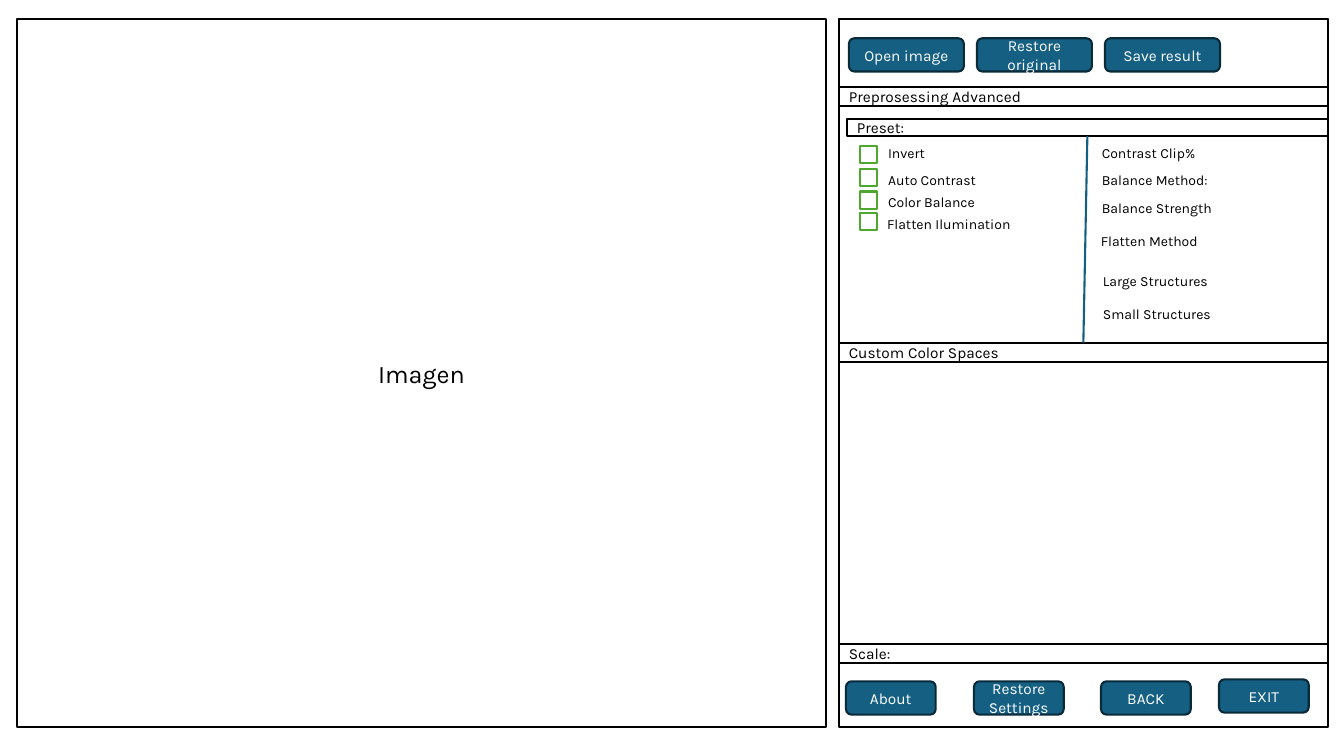
from collections import namedtuple

from pptx import Presentation
from pptx import util as u
from pptx.dml.color import RGBColor
from pptx.enum import shapes, text
from pptx.oxml.ns import qn

PX = 9144  # one hundred px to the inch
FONT = "Karla"
BLACK, WHITE, GREEN = "000000", "FFFFFF", "4EA72E"
BLUE, NAVY = "156082", "092A39"
BAR_HEIGHT = 19

Box = namedtuple("Box", "left top width height")


def px(*lengths):
    return [u.Emu(length * PX) for length in lengths]


def color(hex_value):
    return RGBColor.from_string(hex_value)


def write(shape, words, size, ink, align):
    frame = shape.text_frame
    frame.word_wrap = True
    para = frame.paragraphs[0]
    para.alignment = align
    span = para.add_run()
    span.text = words
    span.font.name = FONT
    span.font.size = u.Pt(size)
    span.font.color.rgb = color(ink)


def add_block(page, box, words="", kind=shapes.MSO_SHAPE.RECTANGLE, fill=WHITE,
              edge=BLACK, size=11, ink=BLACK, align=text.PP_ALIGN.LEFT):
    """Draw an outlined shape, with vertically centred words if given."""
    block = page.shapes.add_shape(kind, *px(*box))
    block.shadow.inherit = False
    block.fill.solid()
    block.fill.fore_color.rgb = color(fill)
    block.line.color.rgb = color(edge)
    block.line.width = u.Pt(1.5)
    if words:
        block.text_frame.vertical_anchor = text.MSO_ANCHOR.MIDDLE
        write(block, words, size, ink, align)
    return block


def add_button(page, box, words):
    add_block(page, box, words, shapes.MSO_SHAPE.ROUNDED_RECTANGLE, BLUE, NAVY,
              ink=WHITE, align=text.PP_ALIGN.CENTER)


def add_label(page, box, words):
    label = page.shapes.add_textbox(*px(*box))
    write(label, words, 10, BLACK, text.PP_ALIGN.LEFT)
    label.text_frame.auto_size = text.MSO_AUTO_SIZE.SHAPE_TO_FIT_TEXT


def add_divider(page, upper, lower):
    """Join the bottom of one block to the top of another."""
    divider = page.shapes.add_connector(shapes.MSO_CONNECTOR.STRAIGHT, 0, 0, 0, 0)
    divider.begin_connect(upper, 2)
    divider.end_connect(lower, 0)
    divider.line.color.rgb = color(BLUE)
    divider.line.width = u.Pt(1.5)
    properties = divider._element.spPr
    properties.append(properties.makeelement(qn("a:effectLst"), {}))


def add_toolbar(page, box):
    add_block(page, box)
    for column, words in enumerate(("Open image", "Restore original", "Save result")):
        add_button(page, Box(box.left + 10 + 127 * column, box.top + 19, 114, 33), words)


def add_preprocessing(page, box):
    """Draw the preset bar, check boxes and settings; return the preset bar."""
    add_block(page, box)
    preset = add_block(page, Box(box.left + 8, box.top + 13, box.width - 8, 17), "Preset:")

    options = (("Invert", 40, 33, 39), ("Auto Contrast", 63, 60, 39),
               ("Color Balance", 85, 82, 39), ("Flatten Ilumination", 106, 104, 38))
    for words, check_top, label_top, indent in options:
        add_block(page, Box(box.left + 21, box.top + check_top, 17, 17), edge=GREEN)
        add_label(page, Box(box.left + indent, box.top + label_top, 148, 27), words)

    settings = (("Contrast Clip%", 33, 251), ("Balance Method:", 60, 251),
                ("Balance Strength", 88, 251), ("Flatten Method", 121, 250),
                ("Large Structures", 160, 252), ("Small Structures", 193, 252))
    for words, top, indent in settings:
        add_label(page, Box(box.left + indent, box.top + top, 233, 27), words)
    return preset


def add_footer(page, box):
    buttons = (("About", 7, 18), ("Restore Settings", 134, 18),
               ("BACK", 260, 18), ("EXIT", 377, 16))
    for words, left, top in buttons:
        add_button(page, Box(box.left + left, box.top + top, 89, 33), words)


def add_control_panel(page, box):
    def band(top, height):
        return Box(box.left, box.top + top, box.width, height)

    add_block(page, box)
    add_toolbar(page, band(0, 67))
    add_block(page, band(67, BAR_HEIGHT), "Preprosessing Advanced")
    preset = add_preprocessing(page, band(86, 235))
    color_spaces = add_block(page, band(321, BAR_HEIGHT), "Custom Color Spaces")
    add_divider(page, preset, color_spaces)
    add_block(page, band(620, BAR_HEIGHT), "Scale:")
    add_footer(page, band(639, 63))


def main():
    deck = Presentation()
    deck.slide_width, deck.slide_height = px(1333, 750)
    page = deck.slides.add_slide(deck.slide_layouts[6])
    add_block(page, Box(17, 19, 802, 702), "Imagen", size=18, align=text.PP_ALIGN.CENTER)
    add_control_panel(page, Box(832, 19, 485, 702))
    deck.save("out.pptx")


if __name__ == "__main__":
    main()
